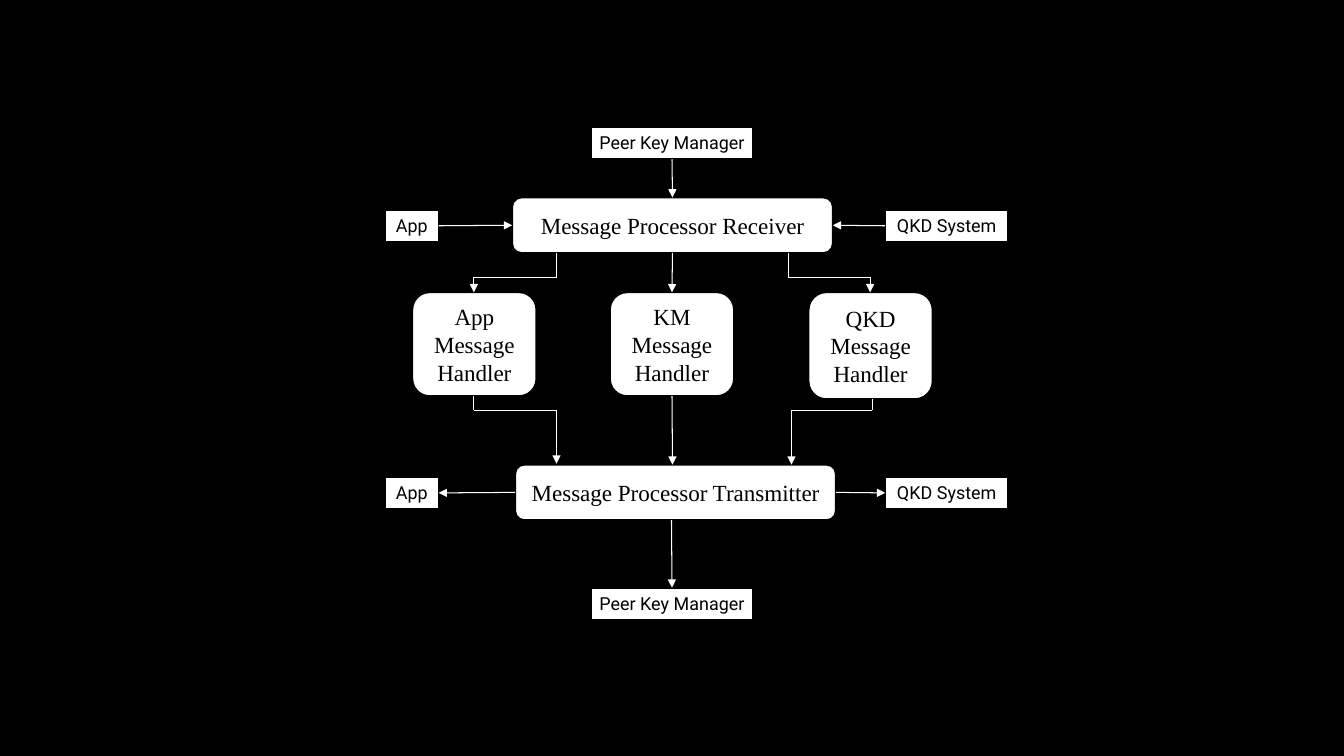
import pptx
import pptx.util
import pptx.dml.color
import pptx.enum.shapes
import pptx.enum.text
import pptx.oxml.ns
from lxml import etree

PX = 9144  # 100 px to the inch
WHITE, BLACK = "FFFFFF", "000000"
TOP, LEFT, BOTTOM, RIGHT = range(4)
RECTANGLE = pptx.enum.shapes.MSO_SHAPE.RECTANGLE
ROUNDED = pptx.enum.shapes.MSO_SHAPE.ROUNDED_RECTANGLE


def color(code):
    return pptx.dml.color.RGBColor.from_string(code)


def add_line(start, end, arrow=True):
    connector = slide.shapes.add_connector(
        pptx.enum.shapes.MSO_CONNECTOR.STRAIGHT, *[v * PX for v in (*start, *end)])
    connector.line.color.rgb = color(WHITE)
    connector.line.width = pptx.util.Pt(0.75)
    if arrow:
        etree.SubElement(connector.line._get_or_add_ln(),
                         pptx.oxml.ns.qn("a:tailEnd"), type="triangle")
    etree.SubElement(connector._element.spPr, pptx.oxml.ns.qn("a:effectLst"))
    return connector


# Black slide
presentation = pptx.Presentation()
presentation.slide_width = 1333 * PX
presentation.slide_height = 750 * PX
slide = presentation.slides.add_slide(presentation.slide_layouts[6])
slide.background.fill.solid()
slide.background.fill.fore_color.rgb = color(BLACK)

# Boxes: key, text, left, top, width, height, outline
boxes = [
    ("receiver", "Message Processor Receiver", 508, 196, 318, 55, ROUNDED),
    ("transmitter", "Message Processor Transmitter", 511, 461, 318, 55, ROUNDED),
]
for kind, left, height in [("App", 409, 103), ("KM", 605, 103), ("QKD", 802, 106)]:
    boxes.append((f"{kind} handler", f"{kind} Message Handler",
                  left, 290, 123, height, ROUNDED))
for side, row_top, peer_top in [("in", 208, 126), ("out", 473, 583)]:
    boxes += [
        (f"app {side}", "App", 382, row_top, 53, 32, RECTANGLE),
        (f"qkd {side}", "QKD System", 878, row_top, 122, 32, RECTANGLE),
        (f"peer {side}", "Peer Key Manager", 586, peer_top, 161, 32, RECTANGLE),
    ]

shapes = {}
for key, text, left, top, width, height, outline in boxes:
    is_process = outline == ROUNDED
    shape = slide.shapes.add_shape(outline, *[v * PX for v in (left, top, width, height)])
    shape.shadow.inherit = False
    shape.fill.solid()
    shape.fill.fore_color.rgb = color(WHITE)
    shape.line.color.rgb = color(BLACK)
    shape.line.width = pptx.util.Pt(1.25)
    frame = shape.text_frame
    frame.text = text
    frame.word_wrap = is_process
    anchors = pptx.enum.text.MSO_ANCHOR
    frame.vertical_anchor = anchors.MIDDLE if is_process else anchors.TOP
    paragraph = frame.paragraphs[0]
    paragraph.alignment = pptx.enum.text.PP_ALIGN.CENTER
    paragraph.font.name = "Times New Roman" if is_process else "Roboto"
    paragraph.font.size = pptx.util.Pt(16.5 if is_process else 12.8)
    paragraph.font.color.rgb = color(BLACK)
    shapes[key] = shape

# Arrows between the middles of two sides
for source, source_side, target, target_side in [
    ("peer in", BOTTOM, "receiver", TOP),
    ("app in", RIGHT, "receiver", LEFT),
    ("qkd in", LEFT, "receiver", RIGHT),
    ("receiver", BOTTOM, "KM handler", TOP),
    ("transmitter", LEFT, "app out", RIGHT),
    ("transmitter", RIGHT, "qkd out", LEFT),
]:
    connector = add_line((0, 0), (0, 0))
    connector.begin_connect(shapes[source], source_side)
    connector.end_connect(shapes[target], target_side)

# Centre arrows at the transmitter, whose own middle lies off the centre line
add_line((667, 393), (667, 461)).begin_connect(shapes["KM handler"], BOTTOM)
add_line((666, 516), (666, 583)).end_connect(shapes["peer out"], TOP)

# Bent arrows: start x, start y, bend y, end x, end y
for start_x, start_y, bend_y, end_x, end_y in [
    (552, 251, 275, 470, 290),
    (782, 251, 275, 863, 290),
    (470, 393, 407, 552, 460),
    (865, 396, 407, 785, 461),
]:
    add_line((start_x, start_y), (start_x, bend_y), arrow=False)
    add_line((start_x, bend_y), (end_x, bend_y), arrow=False)
    add_line((end_x, bend_y), (end_x, end_y))

presentation.save("out.pptx")
